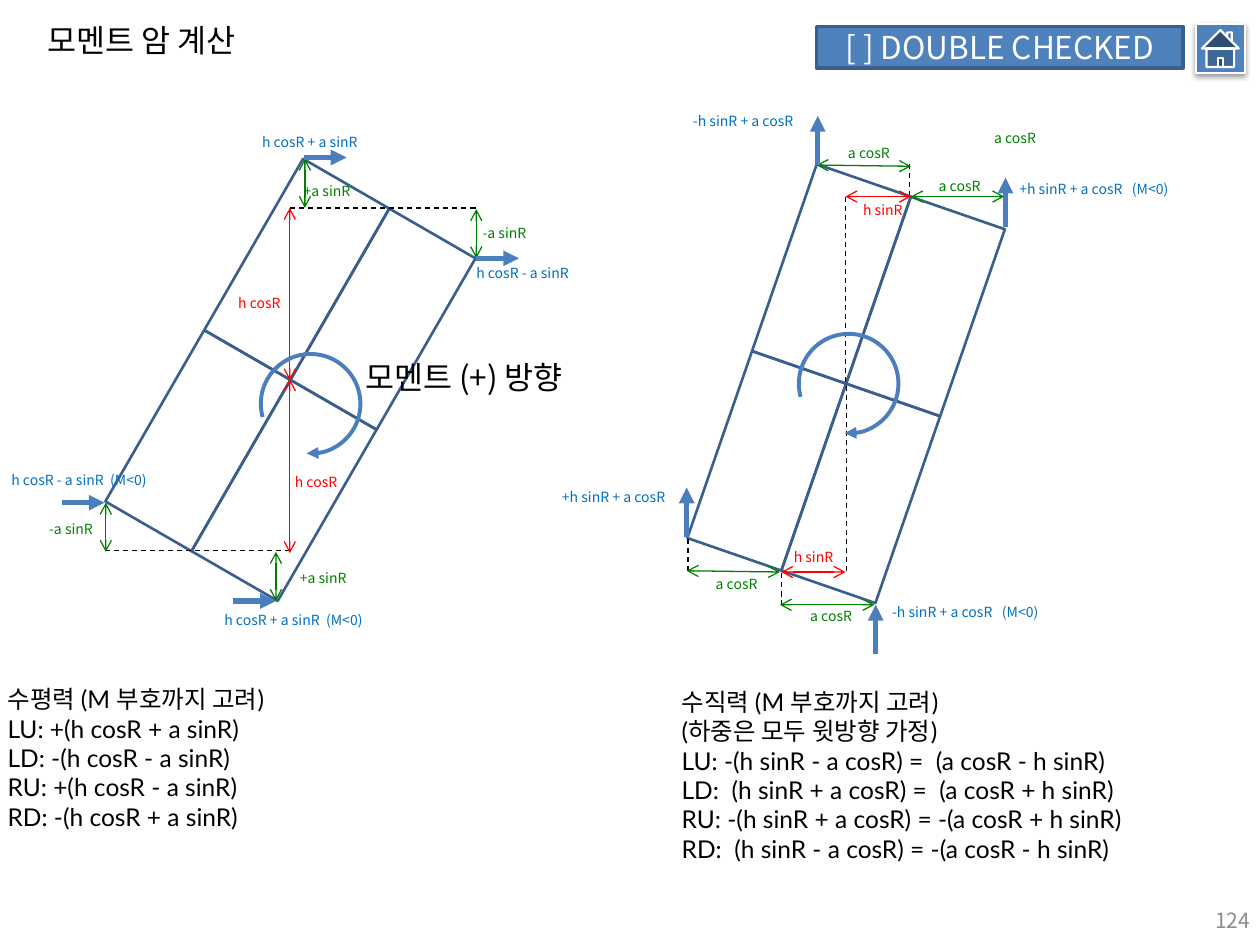
import math
import lxml.etree
import pptx
import pptx.util
import pptx.dml.color
import pptx.enum.dml
import pptx.enum.shapes
import pptx.enum.text
import pptx.oxml.ns

RGB = pptx.dml.color.RGBColor
BLACK = RGB(0x00, 0x00, 0x00)
WHITE = RGB(0xFF, 0xFF, 0xFF)
GRAY = RGB(0x8C, 0x8C, 0x8C)
RED = RGB(0xFF, 0x00, 0x00)
GREEN = RGB(0x00, 0x80, 0x00)
SKY = RGB(0x00, 0x70, 0xC0)
FILL = RGB(0x4F, 0x81, 0xBD)
EDGE = RGB(0x3A, 0x5F, 0x8C)
FORCE = RGB(0x4B, 0x7E, 0xBC)
SANS = "Noto Sans CJK KR"
Pt = pptx.util.Pt
qn = pptx.oxml.ns.qn
add = lxml.etree.SubElement
KIND = pptx.enum.shapes.MSO_SHAPE
ALIGN = pptx.enum.text.PP_ALIGN
ANCHOR = pptx.enum.text.MSO_ANCHOR
FIT = pptx.enum.text.MSO_AUTO_SIZE

deck = pptx.Presentation()
deck.slide_width = pptx.util.Inches(10)
deck.slide_height = pptx.util.Inches(7.5)
col = deck.slide_width / 100
row = deck.slide_height / 75
slide = deck.slides.add_slide(deck.slide_layouts[3])
shapes = slide.shapes


def write(text, box=None, at=None, size=8, color=BLACK, font=SANS, align=ALIGN.LEFT,
          anchor=ANCHOR.TOP, pad=(1, 0.5), wrap=False, fit=FIT.SHAPE_TO_FIT_TEXT):
    if box is None:
        box = shapes.add_textbox(0, 0, 0, 0)
    if at:
        box.left, box.top = int(at[0] * col), int(at[1] * row)
        box.width, box.height = int(at[2] * col), int(at[3] * row)
    frame = box.text_frame
    frame.text = text
    frame.word_wrap = wrap
    frame.auto_size = fit
    frame.vertical_anchor = anchor
    frame.margin_left = frame.margin_right = int(pad[0] * col)
    frame.margin_top = frame.margin_bottom = int(pad[1] * row)
    for para in frame.paragraphs:
        para.alignment = align
        para.space_before = Pt(0)
        props = para._p.get_or_add_pPr()
        props.set("marL", "0")
        props.set("indent", "0")
        add(props, qn("a:buNone"))
        for run in para.runs:
            run.font.size = Pt(size)
            run.font.name = font
            run.font.color.rgb = color
            add(run.font._element, qn("a:ea"), typeface=SANS)


def draw(x1, y1, x2, y2, color, width=0.75, dash=False, head=None, tail=None):
    line = shapes.add_connector(pptx.enum.shapes.MSO_CONNECTOR.STRAIGHT,
                                int(x1 * col), int(y1 * row), int(x2 * col), int(y2 * row))
    line.line.color.rgb = color
    line.line.width = Pt(width)
    if dash:
        line.line.dash_style = pptx.enum.dml.MSO_LINE.DASH
    props = line._element.spPr
    for tag, end in (("a:headEnd", head), ("a:tailEnd", tail)):
        if end:
            add(props.find(qn("a:ln")), qn(tag), type=end)
    add(props, qn("a:effectLst"))


write("모멘트 암 계산", shapes.title, (2.8, 1.2, 19, 4), size=18)
write("124", at=(76.9, 71, 23.3, 4), size=12, color=GRAY, align=ALIGN.RIGHT,
      anchor=ANCHOR.MIDDLE, wrap=True, fit=FIT.NONE)

lists = [
    (1, (-0.4, 53.8, 25.6, 12.8), [
        "수평력 (M 부호까지 고려)",
        "LU: +(h cosR + a sinR)",
        "LD: -(h cosR - a sinR)",
        "RU: +(h cosR - a sinR)",
        "RD: -(h cosR + a sinR)"]),
    (2, (53.1, 54, 45.2, 15.1), [
        "수직력 (M 부호까지 고려)",
        "(하중은 모두 윗방향 가정)",
        "LU: -(h sinR - a cosR) =  (a cosR - h sinR)",
        "LD:  (h sinR + a cosR) =  (a cosR + h sinR)",
        "RU: -(h sinR + a cosR) = -(a cosR + h sinR)",
        "RD:  (h sinR - a cosR) = -(a cosR - h sinR)"]),
]
for slot, at, lines in lists:
    write("\n".join(lines), slide.placeholders[slot], at, size=14, font="Lato")

badge = shapes.add_shape(KIND.RECTANGLE, int(64.8 * col), int(2.1 * row),
                         int(29.1 * col), int(3.3 * row))
home = shapes.add_shape(KIND.ACTION_BUTTON_HOME, int(94.9 * col), int(1.9 * row),
                        int(3.9 * col), int(3.9 * row))
for shape, edge, width in ((badge, EDGE, 2), (home, WHITE, 1.25)):
    shape.shadow.inherit = False
    shape.fill.solid()
    shape.fill.fore_color.rgb = FILL
    shape.line.color.rgb = edge
    shape.line.width = Pt(width)
write("[ ] DOUBLE CHECKED", badge, size=18, color=WHITE, align=ALIGN.CENTER,
      anchor=ANCHOR.MIDDLE, wrap=True, fit=FIT.NONE)
shade = add(home._element.spPr.find(qn("a:effectLst")), qn("a:outerShdw"),
            blurRad="40000", dist="20000", dir="5400000", rotWithShape="0")
tint = add(shade, qn("a:srgbClr"), val="000000")
add(tint, qn("a:alpha"), val="38000")

wide, tall = 7.9, 15.7
for midx, midy, turn in ((23.05, 30.15, 30), (67.15, 30.45, 19.1)):
    cos, sin = math.cos(math.radians(turn)), math.sin(math.radians(turn))
    for side in (1, -1):
        for end in (1, -1):
            x = midx + (side * wide * cos + end * tall * sin) / 2
            y = midy + (side * wide * sin - end * tall * cos) / 2
            cell = shapes.add_shape(KIND.RECTANGLE, int((x - wide / 2) * col),
                                    int((y - tall / 2) * row), int(wide * col), int(tall * row))
            cell.rotation = turn
            cell.shadow.inherit = False
            cell.fill.background()
            cell.line.color.rgb = EDGE
            cell.line.width = Pt(1.5)

dashes = [
    (8.3, 43.7, 23, 43.7), (23, 16.5, 37.8, 16.5),
    (67.2, 30.6, 67.2, 45.4), (67.1, 15.6, 67.1, 30.4),
    (62, 45.5, 62, 47.9), (54.6, 42.8, 54.6, 45.3), (72.2, 13, 72.2, 15.5),
]
for ends in dashes:
    draw(*ends, BLACK, dash=True)

spans = [
    (RED, [(23, 30.1, 23, 43.9), (23, 16.5, 23, 30.2),
           (62, 45.4, 67.1, 45.4), (67.1, 15.6, 72.3, 15.6)]),
    (GREEN, [(21.9, 47.7, 21.9, 43.8), (8.4, 43.8, 8.4, 39.9),
             (24.2, 16.5, 24.2, 12.6), (37.8, 20.5, 37.8, 16.6),
             (61.9, 48, 69.4, 48), (54.5, 45.3, 61.9, 45.4),
             (64.8, 13.1, 72.3, 13.2), (72.3, 15.6, 79.7, 15.6)]),
]
for color, group in spans:
    for ends in group:
        draw(*ends, color, head="arrow", tail="arrow")

for x, y in ((18.5, 47.7), (4.9, 39.9), (24.1, 12.5), (37.8, 20.5)):
    draw(x, y, x + 3.4, y, FORCE, width=3, tail="triangle")
for x, y in ((69.5, 51.9), (54.5, 42.6), (79.8, 18), (64.9, 13.1)):
    draw(x, y, x, y - 3.9, FORCE, width=3, tail="triangle")

labels = [
    (RED, [("h sinR", 62.6, 43.5, 4), ("h sinR", 68.1, 16, 4),
           ("h cosR", 23, 37.6, 4.2), ("h cosR", 18.5, 23.4, 4.2)]),
    (GREEN, [("a cosR", 63.9, 48.2, 4.3), ("a cosR", 56.4, 45.7, 4.3),
             ("a cosR", 66.9, 11.5, 4.3), ("a cosR", 78.5, 10.3, 4.3),
             ("a cosR", 74.1, 14.1, 4.3), ("+a sinR", 23.4, 45.2, 4.7),
             ("+a sinR", 23.7, 14.5, 4.7), ("-a sinR", 3.5, 41.3, 4.3),
             ("-a sinR", 37.9, 17.8, 4.3)]),
    (SKY, [("-h sinR + a cosR   (M<0)", 70.4, 47.9, 13.7),
           ("+h sinR + a cosR   (M<0)", 80.5, 14.3, 14),
           ("+h sinR + a cosR", 44.2, 38.8, 9.7),
           ("-h sinR + a cosR", 54.6, 8.9, 9.4),
           ("h cosR + a sinR  (M<0)", 17.4, 48.5, 12.8),
           ("h cosR - a sinR  (M<0)", 0.5, 37.4, 12.5),
           ("h cosR + a sinR", 20.4, 10.6, 8.9),
           ("h cosR - a sinR", 37.4, 21, 8.6)]),
]
for color, group in labels:
    for text, x, y, width in group:
        write(text, at=(x, y, width, 1.3), color=color, pad=(0.4, 0))

for x, y in ((20.7, 28.1), (63.4, 26.5)):
    arc = shapes.add_shape(KIND.ARC, int(x * col), int(y * row), int(7.9 * col), int(7.9 * row))
    arc.adjustments[0] = 98.76
    arc.adjustments[1] = 56.73
    arc.shadow.inherit = False
    arc.fill.background()
    arc.line.color.rgb = FORCE
    arc.line.width = Pt(2.25)
    add(arc._element.spPr.find(qn("a:ln")), qn("a:tailEnd"), type="triangle")
write("모멘트 (+) 방향", at=(28, 27.9, 19.7, 4), size=18, wrap=True)

deck.save("out.pptx")
